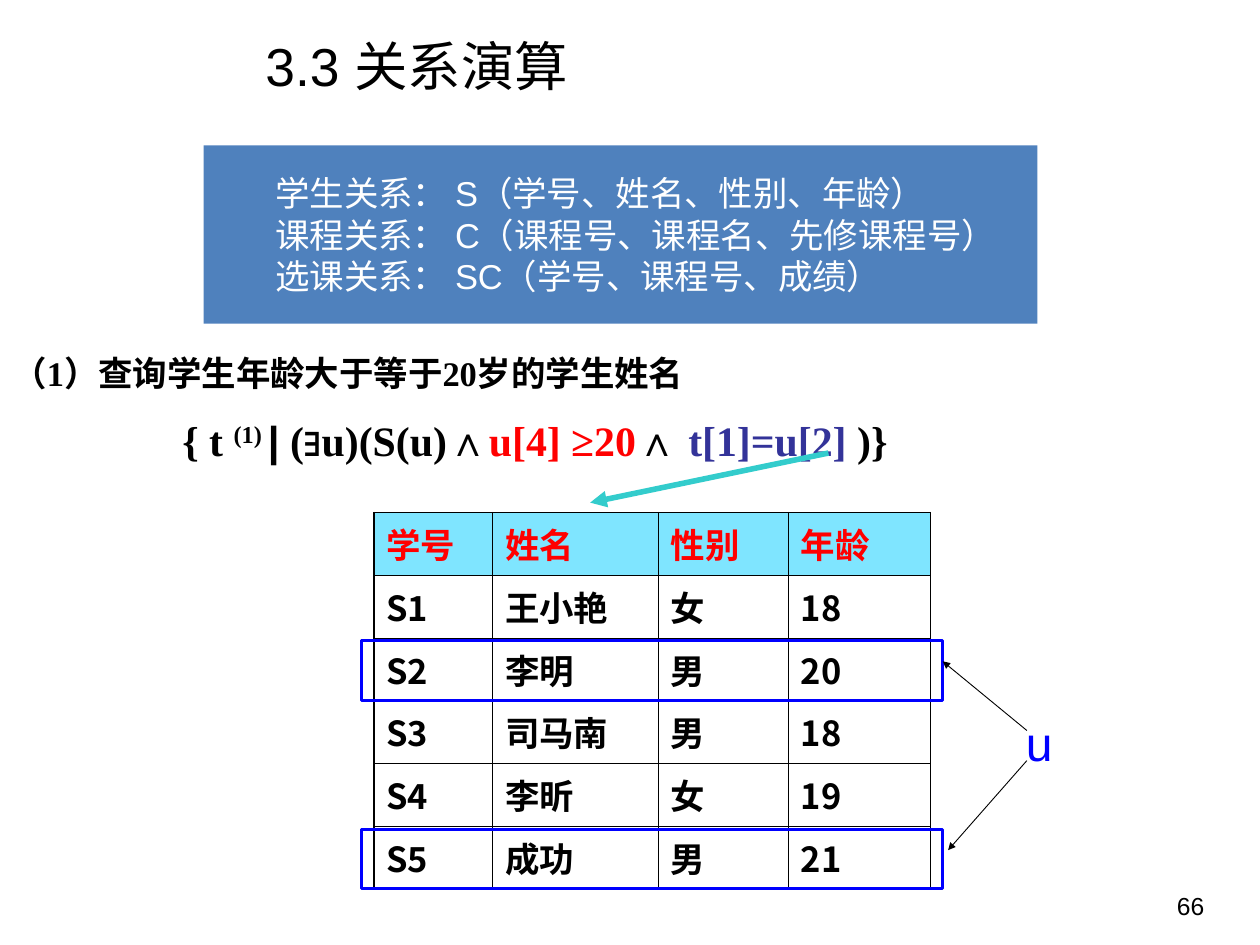
from dataclasses import dataclass

from lxml.etree import SubElement
from pptx import Presentation
from pptx.dml.color import RGBColor
from pptx.enum.shapes import MSO_CONNECTOR, MSO_SHAPE
from pptx.enum.text import MSO_ANCHOR, PP_ALIGN
from pptx.oxml.ns import qn
from pptx.slide import Slide
from pptx.table import _Cell
from pptx.text.text import Font, TextFrame
from pptx.util import Inches, Length, Pt

BLACK = RGBColor(0x00, 0x00, 0x00)
WHITE = RGBColor(0xFF, 0xFF, 0xFF)
RED = RGBColor(0xFF, 0x00, 0x00)
BLUE = RGBColor(0x00, 0x00, 0xFF)
NAVY = RGBColor(0x33, 0x33, 0x99)
STEEL = RGBColor(0x4F, 0x81, 0xBD)
TEAL = RGBColor(0x33, 0xCC, 0xCC)
CYAN = RGBColor(0x00, 0xCC, 0xFF)

SANS, SERIF, CHINESE = "Arial", "Times New Roman", "Noto Sans CJK SC"
WIDTH, HEIGHT = Inches(14.22), Inches(10.66)

# Positions and sizes are percentages of the slide's width and height.
TABLE_LEFT, TABLE_TOP, ROW_HEIGHT = 29.68, 54.22, 6.64
COLUMN_WIDTHS = (9.42, 13.15, 10.34, 11.25)
STUDENTS = (
    ("学号", "姓名", "性别", "年龄"),
    ("S1", "王小艳", "女", "18"),
    ("S2", "李明", "男", "20"),
    ("S3", "司马南", "男", "18"),
    ("S4", "李昕", "女", "19"),
    ("S5", "成功", "男", "21"),
)
MATCHING_ROWS = (2, 5)
RELATIONS = (
    "学生关系： S（学号、姓名、性别、年龄）",
    "课程关系： C（课程号、课程名、先修课程号）",
    "选课关系： SC（学号、课程号、成绩）",
)


@dataclass(frozen=True)
class Area:
    left: float
    top: float
    width: float
    height: float

    def lengths(self) -> tuple[Length, Length, Length, Length]:
        return across(self.left), down(self.top), across(self.width), down(self.height)


@dataclass(frozen=True)
class Label:
    text: str
    area: Area
    size: float
    font: str = SANS
    color: RGBColor = BLACK
    bold: bool = False
    align: PP_ALIGN = PP_ALIGN.LEFT
    anchor: MSO_ANCHOR = MSO_ANCHOR.TOP
    spacing: float = 1.0
    hanging: float = 0.0
    insets: tuple[float, float] = (0.1, 0.05)


@dataclass(frozen=True)
class Arrow:
    start: tuple[float, float]
    end: tuple[float, float]
    color: RGBColor = BLACK
    weight: float = 0.75


@dataclass(frozen=True)
class FormulaPart:
    text: str
    color: RGBColor = BLACK
    font: str = SERIF
    raised: bool = False


LABELS = (
    Label("66", Area(73.21, 93.62, 23.35, 5.16), 20, align=PP_ALIGN.RIGHT, insets=(0.14, 0.07)),
    Label("（1）查询学生年龄大于等于20岁的学生姓名", Area(0, 32.18, 80.31, 10.79), 28, SERIF,
          bold=True, spacing=2, hanging=0.53, insets=(0.14, 0.07)),
    Label("u", Area(80.73, 75.05, 4.36, 7.04), 39, color=BLUE),
    Label("3.3 关系演算", Area(13.01, 2.72, 40.15, 8.44), 43.4,
          align=PP_ALIGN.CENTER, anchor=MSO_ANCHOR.MIDDLE),
)
ARROWS = (
    Arrow((65.75, 47.94), (46.84, 53.19), TEAL, 4.5),
    Arrow((81.5, 77.3), (74.82, 69.98)),
    Arrow((81.5, 80.49), (75.25, 89.96)),
)
FORMULA = (
    FormulaPart("{ t "),
    FormulaPart("(1) ", raised=True),
    FormulaPart("|", font=SANS),
    FormulaPart(" ("),
    FormulaPart("∃", font=SANS),
    FormulaPart("u)(S(u)∧"),
    FormulaPart("u[4] ≥20", RED),
    FormulaPart("∧ "),
    FormulaPart("t[1]=u[2]", NAVY),
    FormulaPart(" )}"),
)


def across(percent: float) -> Length:
    return Length(round(WIDTH * percent / 100))


def down(percent: float) -> Length:
    return Length(round(HEIGHT * percent / 100))


def style(font: Font, name: str, size: float, color: RGBColor, bold: bool = False) -> None:
    font.name, font.size, font.bold = name, Pt(size), bold
    font.color.rgb = color


def add_frame(slide: Slide, area: Area, insets: tuple[float, float] = (0.1, 0.05)) -> TextFrame:
    """Add a wrapping text box and return its text frame."""
    frame = slide.shapes.add_textbox(*area.lengths()).text_frame
    frame.word_wrap = True
    frame.margin_left = frame.margin_right = Inches(insets[0])
    frame.margin_top = frame.margin_bottom = Inches(insets[1])
    return frame


def add_label(slide: Slide, label: Label) -> None:
    frame = add_frame(slide, label.area, label.insets)
    frame.vertical_anchor = label.anchor
    paragraph = frame.paragraphs[0]
    paragraph.text, paragraph.alignment = label.text, label.align
    paragraph.line_spacing = label.spacing
    if label.hanging:
        properties = paragraph._p.get_or_add_pPr()
        properties.set("marL", str(Inches(label.hanging)))
        properties.set("indent", str(-Inches(label.hanging)))
    style(paragraph.font, label.font, label.size, label.color, label.bold)


def add_formula(slide: Slide) -> None:
    paragraph = add_frame(slide, Area(13.78, 41.28, 68.5, 8.44)).paragraphs[0]
    paragraph.line_spacing = 1.4
    for part in FORMULA:
        run = paragraph.add_run()
        run.text = part.text
        style(run.font, part.font, 34, part.color, bold=True)
        if part.raised:
            run._r.get_or_add_rPr().set("baseline", "30000")


def add_relations(slide: Slide) -> None:
    box = slide.shapes.add_shape(MSO_SHAPE.RECTANGLE, *Area(16.17, 15.38, 66.17, 18.86).lengths())
    box.shadow.inherit = False
    box.fill.solid()
    box.fill.fore_color.rgb = STEEL
    box.line.fill.background()
    frame = box.text_frame
    frame.word_wrap, frame.vertical_anchor = True, MSO_ANCHOR.MIDDLE
    frame.text = "\n".join(RELATIONS)
    for paragraph in frame.paragraphs:
        paragraph.alignment = PP_ALIGN.LEFT
        paragraph._p.get_or_add_pPr().set("marL", str(Inches(0.71)))
        style(paragraph.font, SANS, 28, WHITE)


def set_borders(cell: _Cell, outer_sides: dict[str, bool]) -> None:
    """Draw all four sides, the table's outer ones heavier."""
    properties = cell._tc.get_or_add_tcPr()
    for position, (side, outer) in enumerate(outer_sides.items()):
        line = properties.makeelement(qn(f"a:{side}"), {"w": str(Pt(1.08 if outer else 0.45))})
        fill = SubElement(line, qn("a:solidFill"))
        SubElement(fill, qn("a:srgbClr"), val=str(BLACK))
        properties.insert(position, line)


def add_students(slide: Slide) -> None:
    rows, columns = len(STUDENTS), len(COLUMN_WIDTHS)
    area = Area(TABLE_LEFT, TABLE_TOP, sum(COLUMN_WIDTHS), ROW_HEIGHT * rows)
    table = slide.shapes.add_table(rows, columns, *area.lengths()).table
    table.first_row = table.horz_banding = False
    for column, width in zip(table.columns, COLUMN_WIDTHS):
        column.width = across(width)
    for r, student in enumerate(STUDENTS):
        for c, value in enumerate(student):
            cell = table.cell(r, c)
            cell.text, cell.vertical_anchor = value, MSO_ANCHOR.MIDDLE
            cell.margin_left = cell.margin_right = Inches(0.14)
            font = cell.text_frame.paragraphs[0].font
            if r == 0:
                style(font, SANS, 28, RED, bold=True)
                cell.fill.solid()
                cell.fill.fore_color.rgb = CYAN
                color = cell._tc.tcPr.find(".//" + qn("a:srgbClr"))
                SubElement(color, qn("a:alpha"), val="50000")
            else:
                style(font, CHINESE, 28, BLACK, bold=True)
                cell.fill.background()
            set_borders(cell, {"lnL": c == 0, "lnR": c == columns - 1,
                               "lnT": r == 0, "lnB": r == rows - 1})


def add_row_marker(slide: Slide, row: int) -> None:
    area = Area(TABLE_LEFT - 0.95, TABLE_TOP + row * ROW_HEIGHT + 0.32,
                sum(COLUMN_WIDTHS) + 1.9, 6.29)
    marker = slide.shapes.add_shape(MSO_SHAPE.RECTANGLE, *area.lengths())
    marker.shadow.inherit = False
    marker.fill.background()
    marker.line.color.rgb, marker.line.width = BLUE, Pt(2.5)


def add_arrow(slide: Slide, arrow: Arrow) -> None:
    (x1, y1), (x2, y2) = arrow.start, arrow.end
    connector = slide.shapes.add_connector(
        MSO_CONNECTOR.STRAIGHT, across(x1), down(y1), across(x2), down(y2))
    connector.line.color.rgb, connector.line.width = arrow.color, Pt(arrow.weight)
    SubElement(connector.line._get_or_add_ln(), qn("a:tailEnd"), type="triangle")
    SubElement(connector._element.spPr, qn("a:effectLst"))


def main() -> None:
    presentation = Presentation()
    presentation.slide_width, presentation.slide_height = WIDTH, HEIGHT
    slide = presentation.slides.add_slide(presentation.slide_layouts[6])
    add_students(slide)
    add_relations(slide)
    add_formula(slide)
    for label in LABELS:
        add_label(slide, label)
    for row in MATCHING_ROWS:
        add_row_marker(slide, row)
    for arrow in ARROWS:
        add_arrow(slide, arrow)
    presentation.save("out.pptx")


if __name__ == "__main__":
    main()
